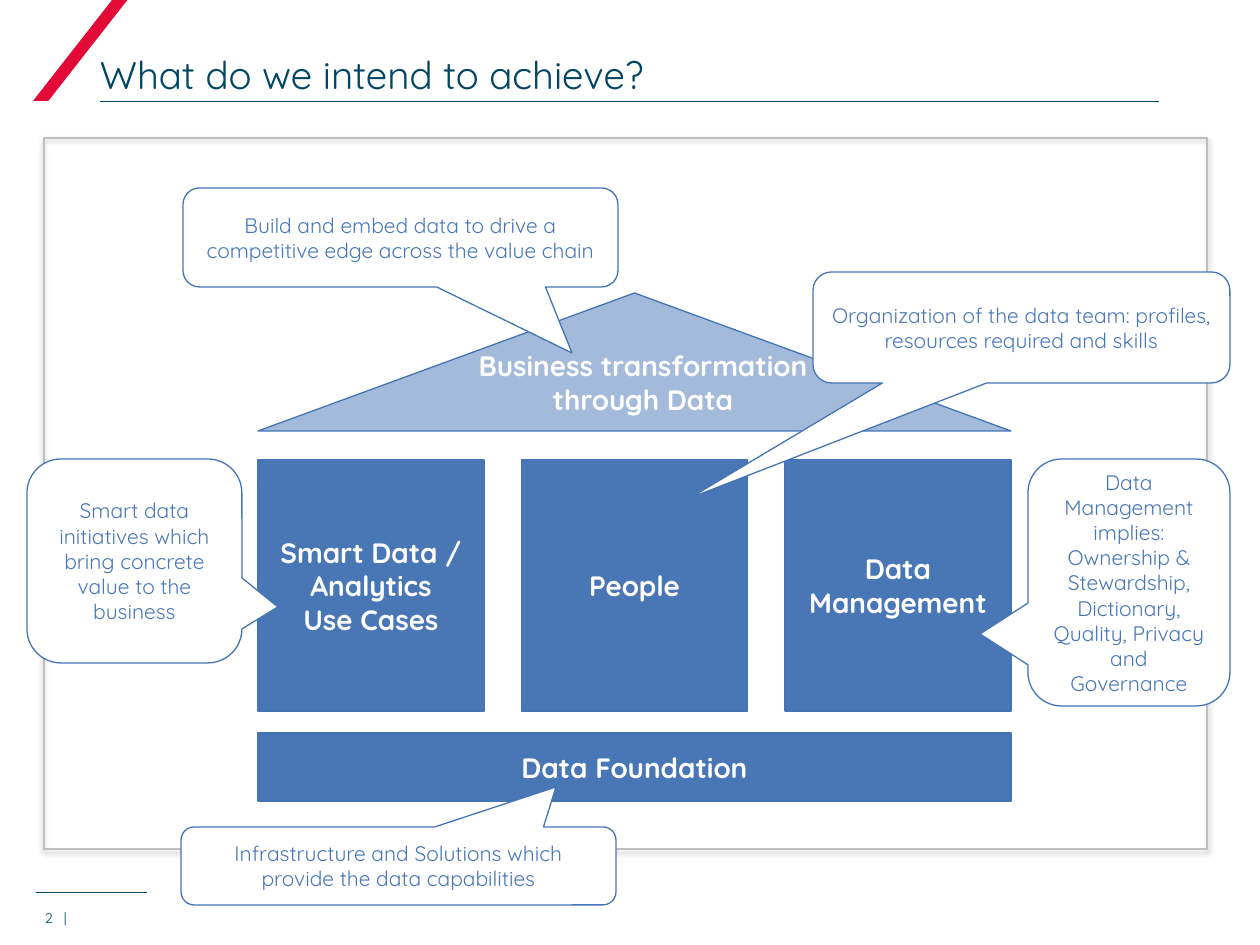
from lxml.etree import SubElement
from pptx import Presentation
from pptx.dml.color import RGBColor
from pptx.enum.shapes import MSO_CONNECTOR, MSO_SHAPE
from pptx.enum.text import MSO_ANCHOR, PP_ALIGN
from pptx.oxml.ns import qn
from pptx.util import Pt

EMU_PER_PX = 914400 / 126
FONT = "Quicksand"
NAVY = RGBColor(0x00, 0x45, 0x63)
RED = RGBColor(0xE4, 0x0A, 0x38)
BLUE = RGBColor(0x49, 0x77, 0xB6)
OUTLINE = RGBColor(0x45, 0x74, 0xB5)
GRAY = RGBColor(0xBF, 0xBF, 0xBF)
WHITE = RGBColor(0xFF, 0xFF, 0xFF)

# House geometry
HOUSE_LEFT, HOUSE_WIDTH = 258, 753
PILLAR_TOP, PILLAR_WIDTH, PILLAR_HEIGHT = 460, 226, 251
PILLARS = ["Smart Data / Analytics\nUse Cases", "People", "Data Management"]

# Text, (left, top, width, height), tip of the pointer
CALLOUTS = [
    ("Build and embed data to drive a competitive edge across the value chain",
     (183, 188, 435, 99), (572, 353)),
    ("Smart data initiatives which bring concrete value to the business",
     (27, 459, 215, 204), (278, 607)),
    ("Data Management implies: Ownership & Stewardship, Dictionary, Quality, "
     "Privacy and Governance", (1028, 459, 202, 247), (980, 634)),
    ("Organization of the data team: profiles, resources required and skills",
     (813, 272, 417, 111), (690, 498)),
    ("Infrastructure and Solutions which provide the data capabilities",
     (181, 827, 435, 78), (556, 787)),
]


def px(length):
    return round(length * EMU_PER_PX)


def write_text(frame, text, size=16, color=WHITE, bold=False,
               align=PP_ALIGN.CENTER, anchor=MSO_ANCHOR.MIDDLE):
    frame.word_wrap = True
    frame.vertical_anchor = anchor
    frame.text = text
    for paragraph in frame.paragraphs:
        paragraph.alignment = align
        for run in paragraph.runs:
            run.font.name = FONT
            run.font.size = Pt(size)
            run.font.bold = bold
            run.font.color.rgb = color


def add_label(slide, box, text, **text_format):
    label = slide.shapes.add_textbox(*map(px, box))
    frame = label.text_frame
    frame.margin_left = frame.margin_right = 0
    frame.margin_top = frame.margin_bottom = 0
    write_text(frame, text, **text_format)
    return label


def add_block(slide, preset, box, fill=None, line=None):
    block = slide.shapes.add_shape(preset, *map(px, box))
    block.shadow.inherit = False
    if fill is None:
        block.fill.background()
    else:
        block.fill.solid()
        block.fill.fore_color.rgb = fill
    if line is None:
        block.line.fill.background()
    else:
        block.line.color.rgb = line
        block.line.width = Pt(0.75)
    return block


def add_part(slide, box, text):
    part = add_block(slide, MSO_SHAPE.RECTANGLE, box, BLUE, OUTLINE)
    write_text(part.text_frame, text, bold=True)


def add_callout(slide, text, box, tip):
    left, top, width, height = box
    callout = add_block(slide, MSO_SHAPE.ROUNDED_RECTANGULAR_CALLOUT, box, WHITE, OUTLINE)
    # The pointer is measured from the centre, as a share of the size
    callout.adjustments[0] = (tip[0] - left) / width - 0.5
    callout.adjustments[1] = (tip[1] - top) / height - 0.5
    write_text(callout.text_frame, text, size=12, color=BLUE)


def add_rule(slide, left, right, y):
    rule = slide.shapes.add_connector(
        MSO_CONNECTOR.STRAIGHT, px(left), px(y), px(right), px(y))
    rule.line.color.rgb = NAVY
    rule.line.width = Pt(0.5)
    SubElement(rule._element.spPr, qn("a:effectLst"))


def set_alpha(color_element, percent):
    SubElement(color_element, qn("a:alpha"), val=str(percent * 1000))


def add_shadow(block):
    effects = block._element.spPr.find(qn("a:effectLst"))
    shadow = SubElement(effects, qn("a:outerShdw"), blurRad=str(Pt(3.1)),
                        dist=str(Pt(1.6)), dir="5400000", rotWithShape="0")
    set_alpha(SubElement(shadow, qn("a:srgbClr"), val="000000"), 38)


def add_header_and_footer(slide):
    add_rule(slide, 36, 147, 892)
    slash = add_block(slide, MSO_SHAPE.PARALLELOGRAM, (33, -2, 96, 103), RED)
    slash.adjustments[0] = 0.84
    add_rule(slide, 100, 1159, 101)
    add_shadow(add_block(slide, MSO_SHAPE.RECTANGLE, (44, 138, 1163, 711), line=GRAY))
    add_label(slide, (100, 50, 1059, 47), "What do we intend to achieve?", size=22,
              color=NAVY, align=PP_ALIGN.LEFT, anchor=MSO_ANCHOR.BOTTOM)
    # Page number, with a tab stop before the bar
    page = add_label(slide, (45, 897, 40, 29), "2\t|", size=8, color=NAVY,
                     align=PP_ALIGN.LEFT, anchor=MSO_ANCHOR.BOTTOM)
    properties = page.text_frame.paragraphs[0]._p.get_or_add_pPr()
    tabs = SubElement(properties, qn("a:tabLst"))
    SubElement(tabs, qn("a:tab"), pos=str(px(19)), algn="l")


def add_house(slide):
    # Foundation and evenly spaced pillars
    add_part(slide, (HOUSE_LEFT, 733, HOUSE_WIDTH, 68), "Data Foundation")
    step = (HOUSE_WIDTH - PILLAR_WIDTH) / (len(PILLARS) - 1)
    for index, text in enumerate(PILLARS):
        add_part(slide, (HOUSE_LEFT + index * step, PILLAR_TOP,
                         PILLAR_WIDTH, PILLAR_HEIGHT), text)
    # Half-transparent roof with its own label
    roof = add_block(slide, MSO_SHAPE.ISOSCELES_TRIANGLE,
                     (HOUSE_LEFT, 293, HOUSE_WIDTH, 138), BLUE, OUTLINE)
    set_alpha(roof._element.spPr.find(qn("a:solidFill"))[0], 50)
    add_label(slide, (437, 349, 412, 83), "Business transformation through Data",
              bold=True, anchor=MSO_ANCHOR.TOP)


def main():
    deck = Presentation()
    deck.slide_width, deck.slide_height = px(1260), px(945)
    slide = deck.slides.add_slide(deck.slide_layouts[6])
    add_header_and_footer(slide)
    add_house(slide)
    for text, box, tip in CALLOUTS:
        add_callout(slide, text, box, tip)
    deck.save("out.pptx")


if __name__ == "__main__":
    main()
